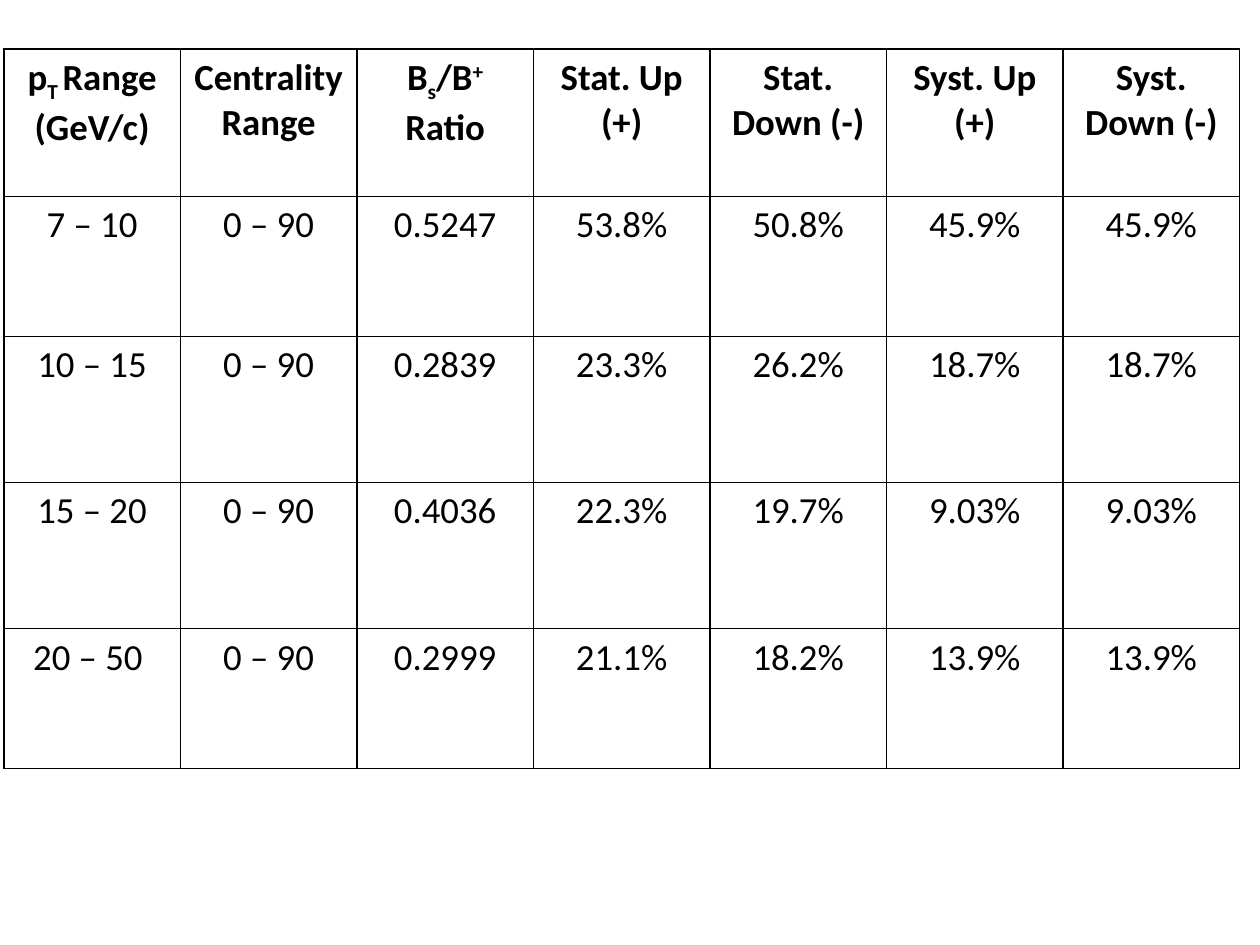
"""Build a slide with a table of B meson ratios and their uncertainties."""
from lxml.etree import SubElement
from pptx import Presentation
from pptx.dml.color import RGBColor
from pptx.enum.text import PP_ALIGN
from pptx.oxml.ns import qn
from pptx.util import Inches, Pt

BLACK = RGBColor(0, 0, 0)
FONT = "Calibri"
TEXT_SIZE = Pt(21)
BORDER_WIDTH = Pt(1)
SUB, SUPER = -25, 30

HEADER = [
    [("p", 0), ("T ", SUB), ("Range (GeV/c)", 0)],
    [("Centrality Range", 0)],
    [("B", 0), ("s", SUB), ("/B", 0), ("+", SUPER), (" Ratio", 0)],
    [("Stat. Up (+)", 0)],
    [("Stat. Down (-)", 0)],
    [("Syst. Up (+)", 0)],
    [("Syst. Down (-)", 0)],
]
RESULTS = [
    ("7 – 10", "0 – 90", "0.5247", "53.8%", "50.8%", "45.9%", "45.9%"),
    ("10 – 15", "0 – 90", "0.2839", "23.3%", "26.2%", "18.7%", "18.7%"),
    ("15 – 20", "0 – 90", "0.4036", "22.3%", "19.7%", "9.03%", "9.03%"),
    ("20 – 50 ", "0 – 90", "0.2999", "21.1%", "18.2%", "13.9%", "13.9%"),
]
LEFT, TOP, WIDTH = 0.03, 0.39, 9.81
ROW_HEIGHTS = [1.17, 1.11, 1.16, 1.16, 1.11]


def add_borders(cell):
    """Draw a solid line on all four sides of a cell."""
    properties = cell._tc.get_or_add_tcPr()
    for side in ("a:lnL", "a:lnR", "a:lnT", "a:lnB"):
        line = SubElement(properties, qn(side), w=str(int(BORDER_WIDTH)))
        fill = SubElement(line, qn("a:solidFill"))
        SubElement(fill, qn("a:srgbClr"), val=str(BLACK))


def write_cell(cell, pieces, bold):
    """Write centred text pieces, each with its baseline shift in percent."""
    para = cell.text_frame.paragraphs[0]
    para.alignment = PP_ALIGN.CENTER
    for text, shift in pieces:
        span = para.add_run()
        span.text = text
        span.font.name = FONT
        span.font.size = TEXT_SIZE
        span.font.bold = bold
        span.font.color.rgb = BLACK
        if shift:
            span._r.get_or_add_rPr().set("baseline", str(shift * 1000))


def main():
    """Lay out the table and save the deck."""
    deck = Presentation()
    deck.slide_width, deck.slide_height = Inches(10), Inches(7.5)
    page = deck.slides.add_slide(deck.slide_layouts[6])
    rows = [HEADER] + [[[(value, 0)] for value in row] for row in RESULTS]
    table = page.shapes.add_table(
        len(rows), len(HEADER), Inches(LEFT), Inches(TOP),
        Inches(WIDTH), Inches(sum(ROW_HEIGHTS)),
    ).table
    table.horz_banding = False
    for column in table.columns:
        column.width = Inches(WIDTH / len(HEADER))
    for r, (row, height) in enumerate(zip(rows, ROW_HEIGHTS)):
        table.rows[r].height = Inches(height)
        for c, pieces in enumerate(row):
            cell = table.cell(r, c)
            write_cell(cell, pieces, bold=r == 0)
            add_borders(cell)
            cell.fill.background()
    deck.save("out.pptx")


if __name__ == "__main__":
    main()
